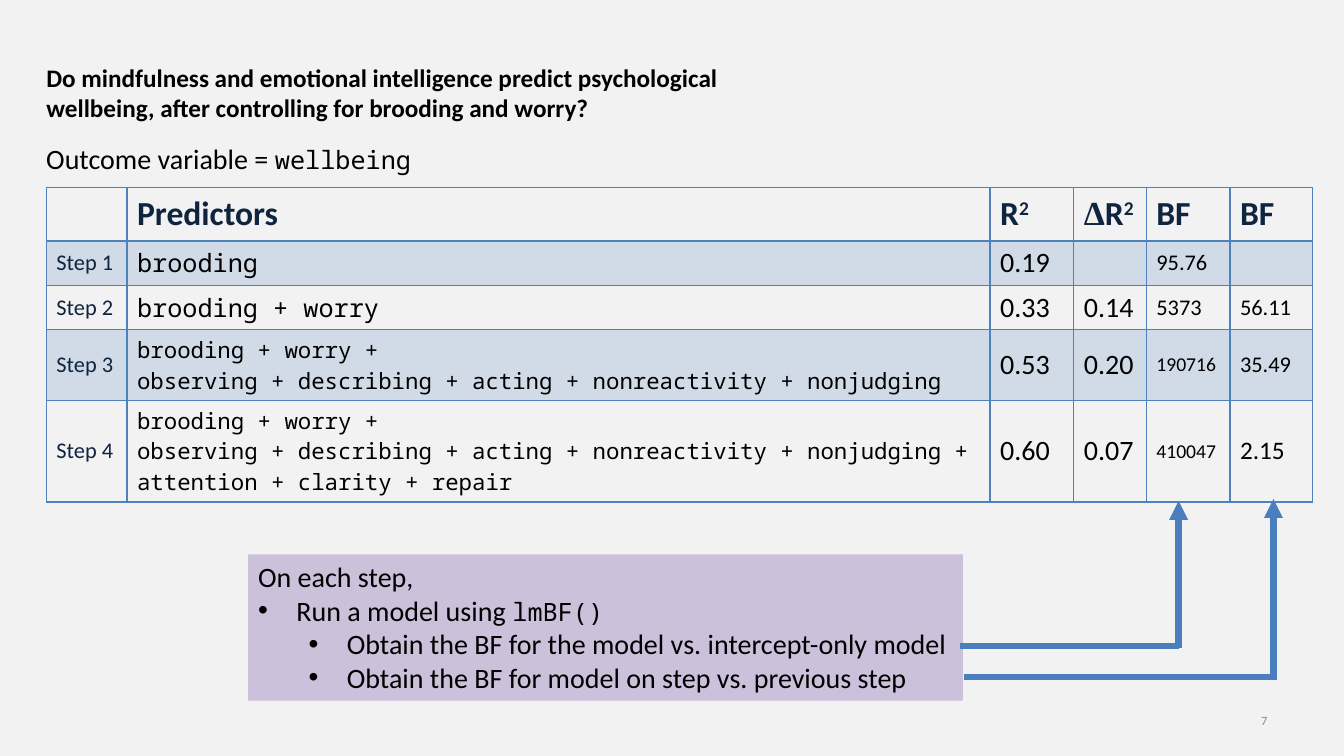
import pptx
import pptx.dml.color
import pptx.enum.shapes
import pptx.enum.text
import pptx.oxml
import pptx.oxml.ns
import pptx.util
from pptx.util import Inches

SANS, MONO, SERIF = "Calibri", "Noto Sans Mono", "Times New Roman"
BLACK, NAVY, BLUE, ARROW = "000000", "0F243E", "4F81BD", "4B7EBC"
MIDDLE = pptx.enum.text.MSO_ANCHOR.MIDDLE
TOP = pptx.enum.text.MSO_ANCHOR.TOP
LEFT = pptx.enum.text.PP_ALIGN.LEFT
RIGHT = pptx.enum.text.PP_ALIGN.RIGHT
qn = pptx.oxml.ns.qn


def color(value):
    return pptx.dml.color.RGBColor.from_string(value)


def element(xml):
    wrapper = pptx.oxml.parse_xml(f"<a:ext {pptx.oxml.ns.nsdecls('a')}>{xml}</a:ext>")
    return wrapper[0]


def format_run(run, size, font=SANS, ink=BLACK, bold=False, raised=False):
    run.font.size = pptx.util.Pt(size)
    run.font.name = font
    run.font.bold = bold
    run.font.color.rgb = color(ink)
    if raised:
        run.font._element.set("baseline", "30000")


def write(paragraph, runs, align=LEFT):
    paragraph.alignment = align
    for text, *style in runs:
        run = paragraph.add_run()
        run.text = text
        format_run(run, *style)


def place(shape, box):
    shape.left, shape.top, shape.width, shape.height = map(Inches, box)


def set_frame(text_frame, anchor=TOP):
    text_frame.word_wrap = True
    text_frame.auto_size = pptx.enum.text.MSO_AUTO_SIZE.NONE
    text_frame.vertical_anchor = anchor


def add_text(slide, box, runs, anchor=TOP, align=LEFT):
    text_frame = slide.shapes.add_textbox(*map(Inches, box)).text_frame
    set_frame(text_frame, anchor)
    write(text_frame.paragraphs[0], runs, align)


def fill_title(title, box):
    place(title, box)
    set_frame(title.text_frame)
    title.text_frame.text = ("Do mindfulness and emotional intelligence predict psychological "
                             "wellbeing, after controlling for brooding and worry?")
    paragraph = title.text_frame.paragraphs[0]
    paragraph.alignment = LEFT
    format_run(paragraph.runs[0], 18, SANS, BLACK, True)


def border_cell(cell, row):
    properties = cell._tc.get_or_add_tcPr()
    for position, side in enumerate("LRTB"):
        thick = (row, side) in ((0, "B"), (1, "T"))
        properties.insert(position, element(
            f'<a:ln{side} w="{25400 if thick else 12700}"><a:solidFill>'
            f'<a:srgbClr val="{BLUE}"/></a:solidFill></a:ln{side}>'))


def shade_cell(cell, row):
    if row % 2 == 0:
        cell.fill.background()
        return
    cell.fill.solid()
    cell.fill.fore_color.rgb = color(BLUE)
    tint = cell._tc.tcPr.find(".//" + qn("a:srgbClr"))
    tint.append(element('<a:alpha val="20000"/>'))


def model_rows():
    heading = (24, SANS, NAVY, True)
    squared = ("2", *heading, True)
    observed = "observing + describing + acting + nonreactivity + nonjudging"
    steps = [
        (18, ["brooding"], ("0.19", 20), None, ("95.76", 16), None),
        (18, ["brooding + worry"], ("0.33", 20), ("0.14", 20), ("5373", 16), ("56.11", 16)),
        (16, ["brooding + worry +", observed],
         ("0.53", 20), ("0.20", 20), ("190716", 14), ("35.49", 16)),
        (16, ["brooding + worry +", observed + " +", "attention + clarity + repair"],
         ("0.60", 20), ("0.07", 20), ("410047", 14), ("2.15", 18)),
    ]
    rows = [[[], [[("Predictors", *heading)]], [[("R", *heading), squared]],
             [[("Δ", 24, SERIF, NAVY, True), ("R", *heading), squared]],
             [[("BF", *heading)]], [[("BF", *heading)]]]]
    for number, (size, predictors, *values) in enumerate(steps, 1):
        rows.append([[[(f"Step {number}", 16, SANS, NAVY)]],
                     [[(line, size, MONO)] for line in predictors],
                     *[[[value]] if value else [] for value in values]])
    return rows


def add_model_table(slide, box):
    rows = model_rows()
    table = slide.shapes.add_table(len(rows), len(rows[0]), *map(Inches, box)).table
    table.horz_banding = False
    for column, width in zip(table.columns, (0.8, 8.56, 0.83, 0.72, 0.83, 0.82)):
        column.width = Inches(width)
    for row, height in zip(table.rows, (0.53, 0.44, 0.44, 0.7, 1.0)):
        row.height = Inches(height)
    for row_index, row in enumerate(rows):
        for column_index, lines in enumerate(row):
            cell = table.cell(row_index, column_index)
            cell.vertical_anchor = MIDDLE
            shade_cell(cell, row_index)
            border_cell(cell, row_index)
            for line_index, runs in enumerate(lines):
                text_frame = cell.text_frame
                paragraph = text_frame.add_paragraph() if line_index else text_frame.paragraphs[0]
                write(paragraph, runs)


def fill_instructions(body, box):
    place(body, box)
    body.fill.solid()
    body.fill.fore_color.rgb = color("CCC1DA")
    set_frame(body.text_frame)
    lines = [
        (0, 0, [("On each step,", 20)]),
        (0, 0.38, [("Run a model using ", 20), ("lmBF()", 18, MONO)]),
        (1, 0.88, [("Obtain the BF for the model vs. intercept-only model", 20)]),
        (1, 0.88, [("Obtain the BF for model on step vs. previous step", 20)]),
    ]
    for index, (level, margin, runs) in enumerate(lines):
        paragraph = body.text_frame.add_paragraph() if index else body.text_frame.paragraphs[0]
        write(paragraph, runs)
        paragraph.level = level
        paragraph.space_before = pptx.util.Pt(0)
        properties = paragraph._p.get_or_add_pPr()
        properties.set("marL", str(Inches(margin)))
        properties.set("indent", str(Inches(-0.38 if margin else 0)))
        if margin:
            properties.append(element('<a:buFont typeface="Arial"/>'))
            properties.append(element('<a:buChar char="•"/>'))
        else:
            properties.append(element("<a:buNone/>"))


def add_line(slide, start, end, arrow=False):
    connector = slide.shapes.add_connector(
        pptx.enum.shapes.MSO_CONNECTOR.STRAIGHT, *map(Inches, (*start, *end)))
    connector.line.color.rgb = color(ARROW)
    connector.line.width = pptx.util.Pt(4.5)
    properties = connector._element.spPr
    properties.append(element("<a:effectLst/>"))
    if arrow:
        properties.find(qn("a:ln")).append(element('<a:tailEnd type="triangle"/>'))


def add_routes(slide, box):
    left, top, width, height = box
    right, bottom = left + width, top + height
    model_column = right - 0.98
    add_line(slide, (model_column, bottom - 0.29), (model_column, top + 0.02), True)
    add_line(slide, (left, bottom - 0.31), (model_column, bottom - 0.31))
    add_line(slide, (right - 0.04, bottom), (right - 0.04, top), True)
    add_line(slide, (left + 0.04, bottom), (right, bottom))


def build_regression_slide(presentation):
    slide = presentation.slides.add_slide(presentation.slide_layouts[1])
    slide.background.fill.solid()
    slide.background.fill.fore_color.rgb = color("F2F2F2")
    add_text(slide, (9.56, 6.95, 3.11, 0.4), [("7", 9, SANS, "8C8C8C")], MIDDLE, RIGHT)
    add_model_table(slide, (0.46, 1.86, 12.56, 3.11))
    fill_title(slide.shapes.title, (0.36, 0.57, 7.51, 0.71))
    add_text(slide, (0.36, 1.35, 4.01, 0.44),
             [("Outcome variable = ", 20), ("wellbeing", 18, MONO)])
    fill_instructions(slide.placeholders[1], (2.46, 5.5, 7.09, 1.45))
    add_routes(slide, (9.52, 4.95, 3.15, 1.77))


def main():
    presentation = pptx.Presentation()
    presentation.slide_width = Inches(13.33)
    presentation.slide_height = Inches(7.5)
    build_regression_slide(presentation)
    presentation.save("out.pptx")


if __name__ == "__main__":
    main()
